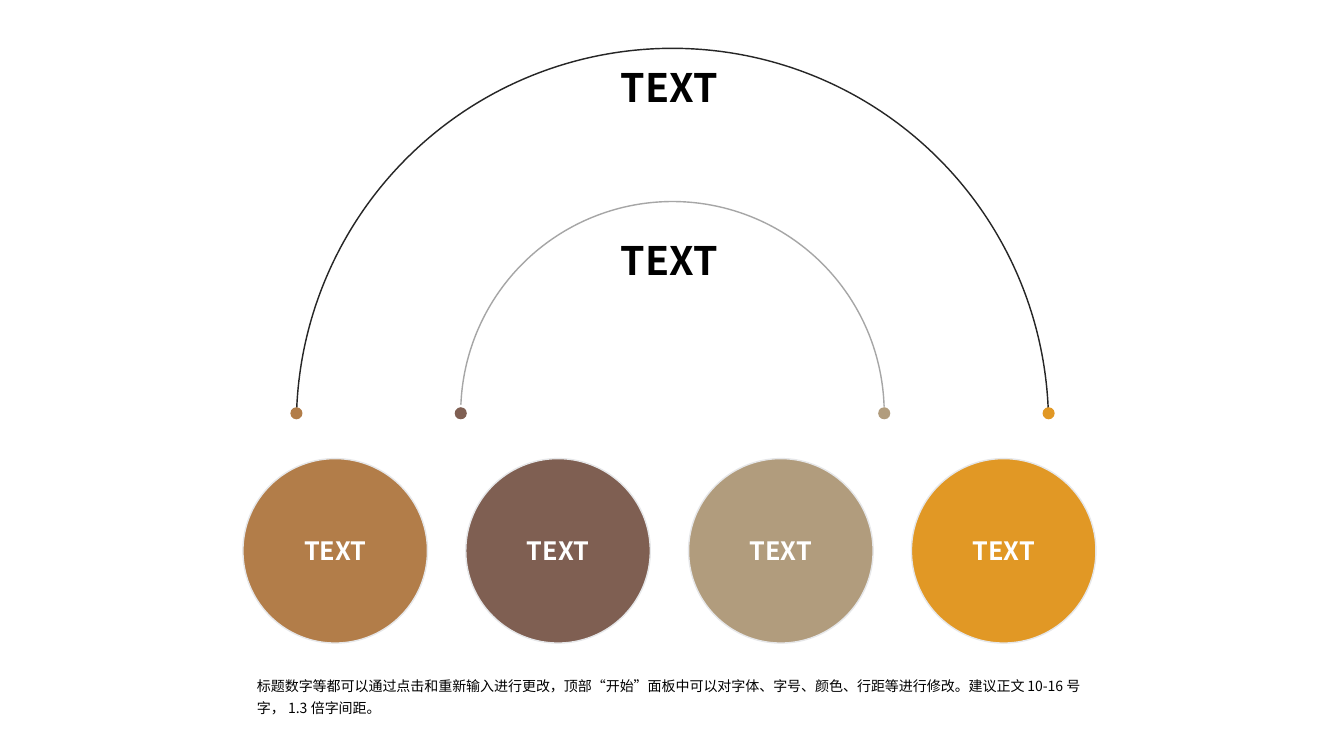
from pptx import Presentation
from pptx.dml.color import RGBColor
from pptx.enum.shapes import MSO_SHAPE as SHAPE
from pptx.enum.text import MSO_ANCHOR as ANCHOR, MSO_AUTO_SIZE as AUTO, PP_ALIGN as ALIGN
from pptx.oxml.ns import qn
from pptx.util import Inches, Pt

BROWN = RGBColor(0xB2, 0x7D, 0x49)
UMBER = RGBColor(0x7F, 0x5F, 0x52)
SAND = RGBColor(0xB1, 0x9C, 0x7D)
AMBER = RGBColor(0xE1, 0x98, 0x25)
DARK = RGBColor(0x26, 0x26, 0x26)
GREY = RGBColor(0xA6, 0xA6, 0xA6)
PALE = RGBColor(0xE6, 0xE7, 0xE9)
BLACK = RGBColor(0, 0, 0)
WHITE = RGBColor(0xFF, 0xFF, 0xFF)

FONT = "Noto Sans CJK SC"
HEADING = {"size": Pt(28), "bold": True, "color": BLACK}
LABEL = {"size": Pt(18), "bold": True, "color": WHITE}
BODY = {"size": Pt(10), "bold": False, "color": BLACK}

CENTRE_X = 6.67
DOT_Y, DOT_SIZE = 4.1, 0.12
NOTE = ("标题数字等都可以通过点击和重新输入进行更改，顶部“开始”面板中可以对字体、字号、"
        "颜色、行距等进行修改。建议正文10-16号字，1.3倍字间距。")


def add_run(p, text, style):
    r = p.add_run()
    r.text = text
    for name, value in {"name": FONT, **style}.items():
        if name == "color":
            r.font.color.rgb = value
        else:
            setattr(r.font, name, value)
    ea = r.font._element.makeelement(qn("a:ea"), {"typeface": FONT})
    r.font._element.append(ea)


def add_shape(s, kind, box, fill=None, line=None):
    sp = s.shapes.add_shape(kind, *map(Inches, box))
    sp.shadow.inherit = False
    if fill is None:
        sp.fill.background()
    else:
        sp.fill.solid()
        sp.fill.fore_color.rgb = fill
    if line is None:
        sp.line.fill.background()
    else:
        sp.line.color.rgb = line
        sp.line.width = Pt(1)
    return sp


def add_text(s, box, text, style, wrap):
    tf = s.shapes.add_textbox(*map(Inches, box)).text_frame
    tf.word_wrap = wrap
    tf.auto_size = AUTO.SHAPE_TO_FIT_TEXT
    add_run(tf.paragraphs[0], text, style)
    return tf


def add_arch(s, top, size, line, dot_colors, text_top):
    """Half-circle line with a dot at each end and a heading inside."""
    left = CENTRE_X - size / 2
    arc = add_shape(s, SHAPE.BLOCK_ARC, (left, top, size, size), line=line)
    for i, value in enumerate((109.432, 214.882, 0)):
        arc.adjustments[i] = value
    # End dots
    for x, color in zip((left, left + size), dot_colors):
        half = DOT_SIZE / 2
        add_shape(s, SHAPE.OVAL, (x - half, DOT_Y - half, DOT_SIZE, DOT_SIZE), color)
    # Heading
    add_text(s, (6.06, text_top, 1.21, 0.57), "TEXT", HEADING, False)


def add_circles(s, left, top, size, pitch):
    """Row of labelled circles."""
    for i, color in enumerate((BROWN, UMBER, SAND, AMBER)):
        sp = add_shape(s, SHAPE.OVAL, (left + i * pitch, top, size, size), color, PALE)
        tf = sp.text_frame
        tf.vertical_anchor = ANCHOR.MIDDLE
        p = tf.paragraphs[0]
        p.alignment = ALIGN.CENTER
        add_run(p, "TEXT", LABEL)


def add_note(s, box):
    """Explanatory paragraph under the circles."""
    tf = add_text(s, box, NOTE, BODY, True)
    tf.paragraphs[0].line_spacing = 1.3


def main():
    prs = Presentation()
    prs.slide_width, prs.slide_height = Inches(13.33), Inches(7.5)
    s = prs.slides.add_slide(prs.slide_layouts[6])
    add_arch(s, 0.48, 7.46, DARK, (BROWN, AMBER), 0.58)
    add_arch(s, 2, 4.2, GREY, (UMBER, SAND), 2.3)
    add_circles(s, 2.41, 4.55, 1.83, 2.21)
    add_note(s, (2.45, 6.62, 8.43, 0.54))
    prs.save("out.pptx")


if __name__ == "__main__":
    main()
